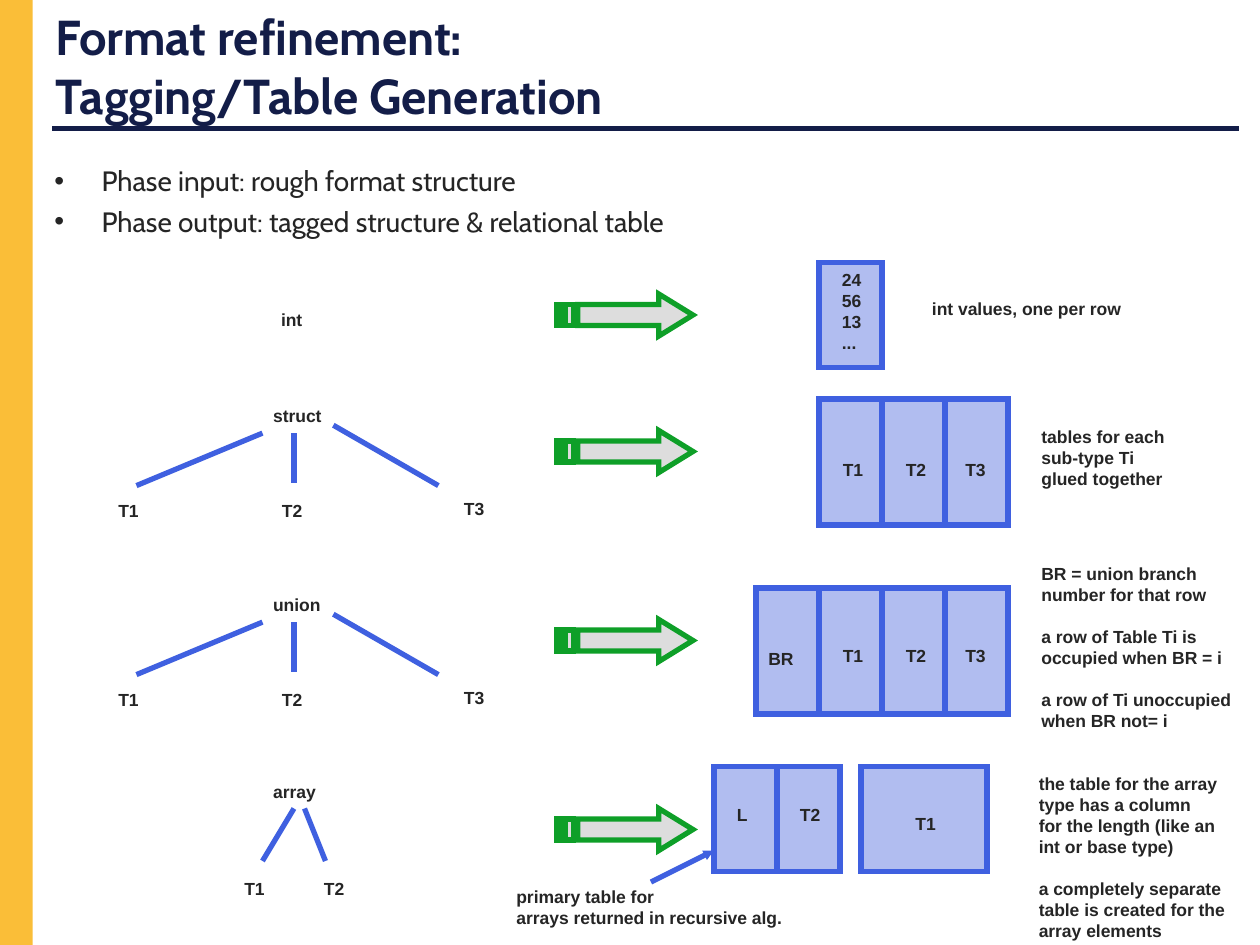
from dataclasses import dataclass

from lxml import etree
from pptx import Presentation
from pptx.dml.color import RGBColor
from pptx.enum.shapes import MSO_CONNECTOR, MSO_SHAPE
from pptx.enum.text import MSO_ANCHOR, MSO_AUTO_SIZE
from pptx.oxml.ns import qn
from pptx.util import Pt

STRAIGHT = MSO_CONNECTOR.STRAIGHT
RECTANGLE = MSO_SHAPE.RECTANGLE
TOP, MIDDLE = MSO_ANCHOR.TOP, MSO_ANCHOR.MIDDLE
FIXED, GROW = MSO_AUTO_SIZE.NONE, MSO_AUTO_SIZE.SHAPE_TO_FIT_TEXT


@dataclass(frozen=True)
class Theme:
    navy: RGBColor = RGBColor.from_string("131D48")
    yellow: RGBColor = RGBColor.from_string("FABE38")
    ink: RGBColor = RGBColor.from_string("252525")
    blue: RGBColor = RGBColor.from_string("3F60E0")
    pale_blue: RGBColor = RGBColor.from_string("B1BDF0")
    green: RGBColor = RGBColor.from_string("0E9F28")
    grey: RGBColor = RGBColor.from_string("DDDDDD")
    title_size: int = 28
    body_size: int = 16
    label_size: int = 10
    stroke: int = 3
    title_font: str = "Cabin"
    label_font: str = "Arial"


theme = Theme()
deck = Presentation()
deck.slide_width, deck.slide_height = Pt(720), Pt(540)
page = deck.slides.add_slide(deck.slide_layouts[6])


def write_text(text, left, top, width=26, height=19.2, *, font=theme.label_font,
               size=theme.label_size, color=theme.ink, bold=True, wrap=False,
               anchor=TOP, bullet=None, before=0, gap=12):
    box = page.shapes.add_textbox(Pt(left), Pt(top), Pt(width), Pt(height))
    frame = box.text_frame
    frame.word_wrap = wrap
    frame.auto_size = FIXED if wrap else GROW
    frame.vertical_anchor = anchor
    for group_number, group in enumerate(text.split("\n\n")):
        for line_number, line in enumerate(group.split("\n")):
            first = group_number == line_number == 0
            para = frame.paragraphs[0] if first else frame.add_paragraph()
            para.text = line
            new_group = group_number > 0 and line_number == 0
            para.space_before = Pt(gap if new_group else before)
            for span in para.runs:
                span.font.name = font
                span.font.size = Pt(size)
                span.font.bold = bold
                span.font.color.rgb = color
            if bullet:
                properties = para._p.get_or_add_pPr()
                properties.set("marL", str(Pt(27)))
                properties.set("indent", str(-Pt(27)))
                etree.SubElement(properties, qn("a:buFont"), typeface=theme.label_font)
                etree.SubElement(properties, qn("a:buChar"), char=bullet)


def draw_line(x1, y1, x2, y2, color=theme.blue, arrowhead=False):
    line = page.shapes.add_connector(STRAIGHT, Pt(x1), Pt(y1), Pt(x2), Pt(y2))
    line.line.color.rgb = color
    line.line.width = Pt(theme.stroke)
    if arrowhead:
        etree.SubElement(line.line._get_or_add_ln(), qn("a:tailEnd"),
                         type="triangle", w="sm", len="sm")
    etree.SubElement(line._element.spPr, qn("a:effectLst"))


side_band = page.shapes.add_shape(RECTANGLE, 0, 0, Pt(18.75), Pt(540))
side_band.shadow.inherit = False
side_band.fill.solid()
side_band.fill.fore_color.rgb = theme.yellow
side_band.line.fill.background()
draw_line(30, 73.5, 708, 73.5, theme.navy)

write_text("Format refinement:\vTagging/Table Generation", 24.5, 6, 687, 63,
           font=theme.title_font, size=theme.title_size, color=theme.navy,
           wrap=True, anchor=MIDDLE)
write_text("Phase input: rough format structure\n"
           "Phase output: tagged structure & relational table", 24, 90, 686, 397,
           font=theme.title_font, size=theme.body_size, bold=False, wrap=True,
           bullet="•", before=4)

write_text("int", 153.5, 173, 27)
for name, top in (("struct", 228), ("union", 336)):
    write_text(name, 149, top, 42)
    for child, left, drop in (("T1", 60.5, 54), ("T2", 154, 54), ("T3", 258, 53)):
        write_text(child, left, top + drop)
    draw_line(78, top + 49.5, 150, top + 19.5)
    draw_line(168, top + 19.5, 168, top + 48)
    draw_line(190.5, top + 15, 250.5, top + 49.5)

write_text("array", 149, 443, 39)
for child, left, start, end in (("T1", 132.5, 168, 150), ("T2", 178, 174, 186)):
    write_text(child, left, 498)
    draw_line(start, 462, end, 492)

outlined_shapes = []
stripe = 78 / 32
arrow_outlines = (
    ((5 * stripe, 6), (58.5, 6), (58.5, 0), (78, 12),
     (58.5, 24), (58.5, 18), (5 * stripe, 18)),
    ((0, 6), (stripe, 6), (stripe, 18), (0, 18)),
    ((2 * stripe, 6), (4 * stripe, 6), (4 * stripe, 18), (2 * stripe, 18)),
)
for top in (168, 246, 354, 462):
    builder = None
    for outline in arrow_outlines:
        points = [(Pt(318 + x), Pt(top + y)) for x, y in outline]
        if builder is None:
            builder = page.shapes.build_freeform(*points[0])
        else:
            builder.move_to(*points[0])
        builder.add_line_segments(points[1:], close=True)
    arrow = builder.convert_to_shape()
    outlined_shapes.append((arrow, theme.grey, theme.green))

table_frames = (
    (468, 150, 36, 60, ()),
    (468, 228, 108, 72, (504, 540)),
    (432, 336, 144, 72, (468, 504, 540)),
    (408, 438, 36, 60, ()),
    (444, 438, 36, 60, ()),
    (492, 438, 72, 60, ()),
)
for left, top, width, height, dividers in table_frames:
    frame = page.shapes.add_shape(RECTANGLE, Pt(left), Pt(top), Pt(width), Pt(height))
    outlined_shapes.append((frame, theme.pale_blue, theme.blue))
    for x in dividers:
        draw_line(x, top, x, top + height)

for shape, fill_color, line_color in outlined_shapes:
    shape.shadow.inherit = False
    shape.fill.solid()
    shape.fill.fore_color.rgb = fill_color
    shape.line.color.rgb = line_color
    shape.line.width = Pt(theme.stroke)
    etree.SubElement(shape.line._get_or_add_ln(), qn("a:miter"), lim="800000")

write_text("24\n56\n13\n...", 474, 150, 25.5, 67)
for top in (258.5, 365):
    for column, left in (("T1", 474.5), ("T2", 510.5), ("T3", 544.5)):
        write_text(column, left, top)
write_text("BR", 432, 366.5, 29)
write_text("L", 414, 456, 20.5)
write_text("T2", 450, 456)
write_text("T1", 516, 461)

write_text("int values, one per row", 525.5, 167, 122.5)
write_text("tables for each\nsub-type Ti\nglued together", 588, 240, 84.5, 43)
write_text("BR = union branch\nnumber for that row\n\n"
           "a row of Table Ti is\noccupied when BR = i\n\n"
           "a row of Ti unoccupied\nwhen BR not= i", 588, 318, 125.5, 116)
write_text("the table for the array\ntype has a column\n"
           "for the length (like an\nint or base type)\n\n"
           "a completely separate\ntable is created for the\narray elements",
           586.5, 438, 120.5, 104)
write_text("primary table for\narrays returned in recursive alg.", 288, 502.5, 166, 32)
draw_line(372, 504, 408, 486, arrowhead=True)

deck.save("out.pptx")
